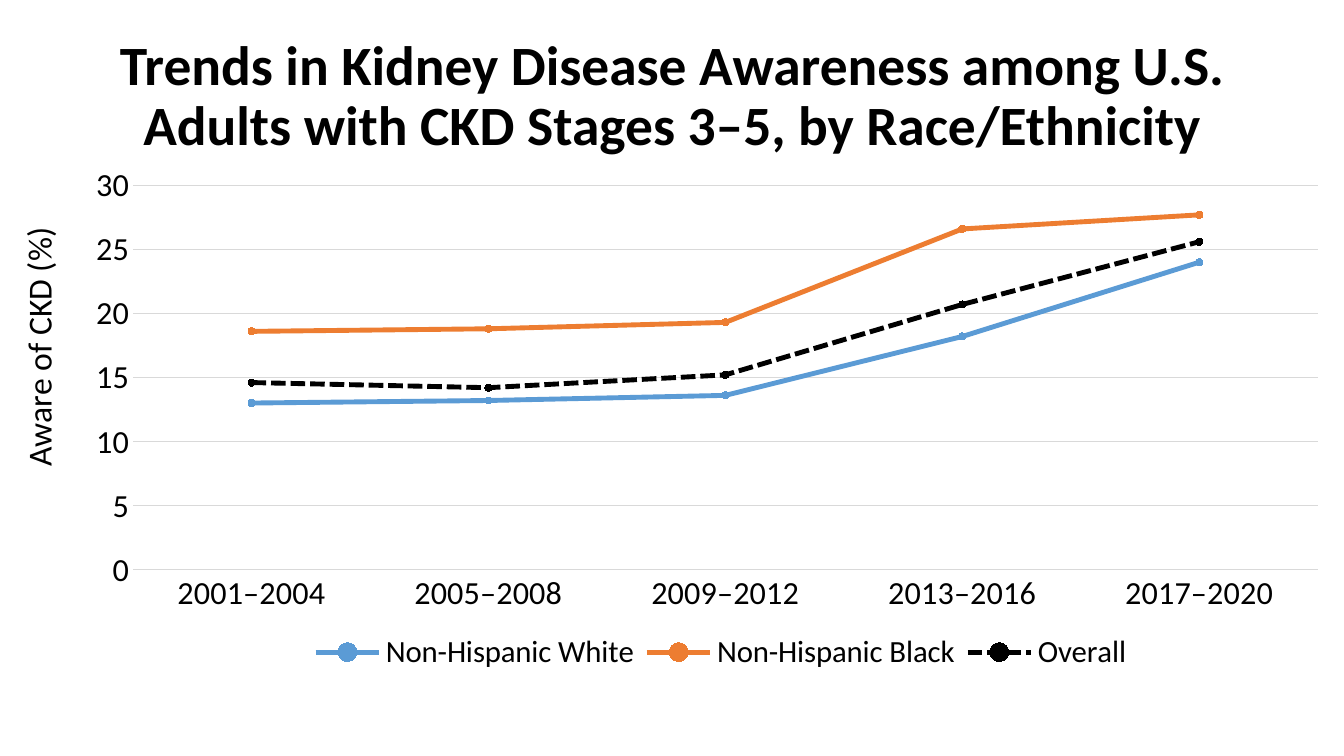
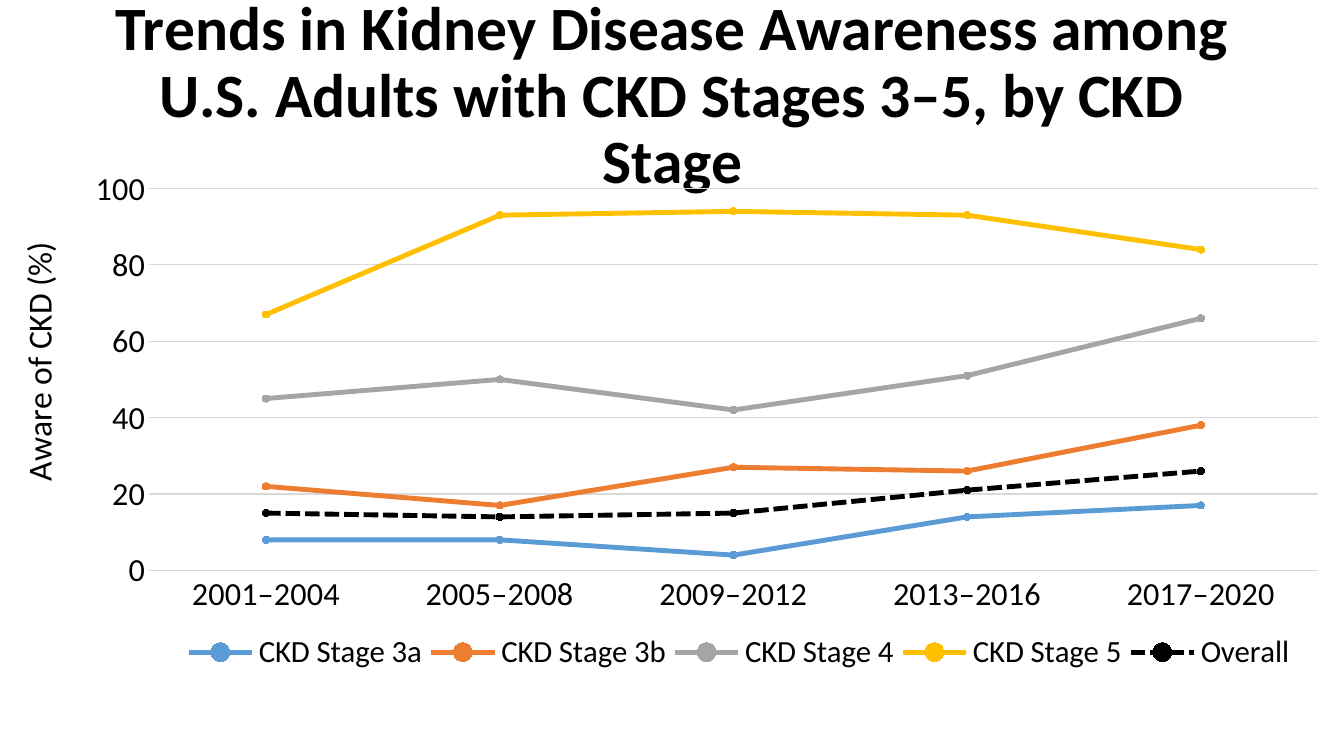
from pptx import Presentation
from pptx.chart.data import CategoryChartData
from pptx.dml.color import RGBColor
from pptx.enum.chart import XL_CHART_TYPE, XL_LEGEND_POSITION, XL_MARKER_STYLE, XL_TICK_MARK
from pptx.enum.dml import MSO_LINE
from pptx.enum.text import MSO_ANCHOR, MSO_AUTO_SIZE, PP_ALIGN
from pptx.oxml import parse_xml
from pptx.oxml.ns import nsdecls, qn
from pptx.util import Inches, Pt

FONT = "Calibri"
COLORS = {
    "text": "000000",
    "grid": "D9D9D9",
    "blue": "5B9BD5",
    "orange": "ED7D31",
    "gray": "A5A5A5",
    "gold": "FFC000",
    "overall": "000000",
}
SLIDE_WIDTH, SLIDE_HEIGHT = 13.33, 7.5
TITLE_BOX = (0.92, 0.24, 11.5, 1.45)
PERIODS = ["2001–2004", "2005–2008", "2009–2012", "2013–2016", "2017–2020"]

# Boxes are left, top, width, height in inches on the slide.
TRENDS = [
    {
        "title": "Trends in Kidney Disease Awareness among U.S. Adults "
                 "with CKD Stages 3–5, by Race/Ethnicity",
        "title_size": 39.6,
        "chart_box": (0, 1.54, SLIDE_WIDTH, 5.22),
        "plot_box": (1.32, 1.84, 11.75, 3.81),
        "axis_title_at": (0.1, 2.2),
        "legend_box": (3, 6.26, 8.3, 0.42),
        "scale": (30, 5),
        "series": [
            ("Non-Hispanic White", "blue", (13, 13.2, 13.6, 18.2, 24)),
            ("Non-Hispanic Black", "orange", (18.6, 18.8, 19.3, 26.6, 27.7)),
            ("Overall", "overall", (14.6, 14.2, 15.2, 20.7, 25.6)),
        ],
    },
    {
        "title": "Trends in Kidney Disease Awareness among U.S. Adults "
                 "with CKD Stages 3–5, by CKD Stage",
        "title_size": 44,
        "chart_box": (0, 1.57, SLIDE_WIDTH, 5.2),
        "plot_box": (1.48, 1.87, 11.59, 3.79),
        "axis_title_at": (0.1, 2.34),
        "legend_box": (1.78, 6.28, 11.1, 0.42),
        "scale": (100, 20),
        "series": [
            ("CKD Stage 3a", "blue", (8, 8, 4, 14, 17)),
            ("CKD Stage 3b", "orange", (22, 17, 27, 26, 38)),
            ("CKD Stage 4", "gray", (45, 50, 42, 51, 66)),
            ("CKD Stage 5", "gold", (67, 93, 94, 93, 84)),
            ("Overall", "overall", (15, 14, 15, 21, 26)),
        ],
    },
]


def rgb(name):
    return RGBColor.from_string(COLORS[name])


def style_font(font, size, bold=False):
    font.name = FONT
    font.size = Pt(size)
    font.bold = bold
    font.color.rgb = rgb("text")


def add_title(slide, box, text, size):
    title = slide.shapes.add_textbox(*map(Inches, box))
    frame = title.text_frame
    frame.word_wrap = True
    frame.auto_size = MSO_AUTO_SIZE.NONE
    frame.vertical_anchor = MSO_ANCHOR.MIDDLE
    frame.text = text
    paragraph = frame.paragraphs[0]
    paragraph.alignment = PP_ALIGN.CENTER
    paragraph.line_spacing = 0.9
    style_font(paragraph.runs[0].font, size, bold=True)


def place_part(part, box, chart_box, after=None, inner=False):
    """Pin a chart part at a slide position, as fractions of the chart box."""
    left, top, width, height = chart_box
    fractions = [(box[0] - left) / width, (box[1] - top) / height]
    if len(box) == 4:
        fractions += [box[2] / width, box[3] / height]
    target = '<c:layoutTarget val="inner"/>' if inner else ""
    modes = '<c:xMode val="edge"/><c:yMode val="edge"/>'
    values = "".join(f'<c:{key} val="{value:.4f}"/>' for key, value in zip("xywh", fractions))
    layout = parse_xml(
        f'<c:layout {nsdecls("c")}><c:manualLayout>{target}{modes}{values}'
        "</c:manualLayout></c:layout>"
    )
    for old in part.findall(qn("c:layout")):
        part.remove(old)
    if after:
        part.find(qn(after)).addnext(layout)
    else:
        part.insert(0, layout)


def style_axes(chart, scale):
    periods, awareness = chart.category_axis, chart.value_axis
    for axis in (periods, awareness):
        axis.major_tick_mark = axis.minor_tick_mark = XL_TICK_MARK.NONE
        style_font(axis.tick_labels.font, 23)
    awareness.minimum_scale = 0
    awareness.maximum_scale, awareness.major_unit = scale
    awareness.tick_labels.number_format = "0"
    awareness.tick_labels.number_format_is_linked = False
    awareness.format.line.fill.background()
    awareness.has_major_gridlines = True
    for line in (periods.format.line, awareness.major_gridlines.format.line):
        line.color.rgb = rgb("grid")
        line.width = Pt(0.75)

    label = awareness.axis_title.text_frame
    label.text = "Aware of CKD (%)"
    style_font(label.paragraphs[0].runs[0].font, 24)
    direction = label._txBody.find(qn("a:bodyPr"))
    direction.set("rot", "-5400000")
    direction.set("vert", "horz")


def style_series(series, color):
    series.smooth = False
    line, marker = series.format.line, series.marker
    line.color.rgb = rgb(color)
    line.width = Pt(3.5)
    if color == "overall":
        line.dash_style = MSO_LINE.SQUARE_DOT
    marker.style = XL_MARKER_STYLE.CIRCLE
    marker.size = 5
    marker.format.fill.solid()
    marker.format.fill.fore_color.rgb = rgb(color)
    marker.format.line.color.rgb = rgb(color)


def add_trend_chart(slide, trend):
    data = CategoryChartData()
    data.categories = PERIODS
    for name, _, values in trend["series"]:
        data.add_series(name, values)
    box = trend["chart_box"]
    chart = slide.shapes.add_chart(
        XL_CHART_TYPE.LINE_MARKERS, *map(Inches, box), data
    ).chart
    chart.has_title = False
    style_font(chart.font, 10)
    chart.plots[0].vary_by_categories = False
    style_axes(chart, trend["scale"])
    for series, (_, color, _) in zip(chart.plots[0].series, trend["series"]):
        style_series(series, color)

    chart.has_legend = True
    legend = chart.legend
    legend.position = XL_LEGEND_POSITION.BOTTOM
    legend.include_in_layout = False
    style_font(legend.font, 22)

    chart_space = chart.element
    place_part(chart_space.find(".//" + qn("c:plotArea")), trend["plot_box"], box, inner=True)
    place_part(chart_space.find(".//" + qn("c:valAx") + "/" + qn("c:title")),
               trend["axis_title_at"], box, after="c:tx")
    place_part(chart_space.find(".//" + qn("c:legend")), trend["legend_box"], box,
               after="c:legendPos")


def add_trend_slide(deck, trend):
    slide = deck.slides.add_slide(deck.slide_layouts[6])
    add_title(slide, TITLE_BOX, trend["title"], trend["title_size"])
    add_trend_chart(slide, trend)


def main():
    deck = Presentation()
    deck.slide_width, deck.slide_height = Inches(SLIDE_WIDTH), Inches(SLIDE_HEIGHT)
    for trend in TRENDS:
        add_trend_slide(deck, trend)
    deck.save("out.pptx")


if __name__ == "__main__":
    main()
